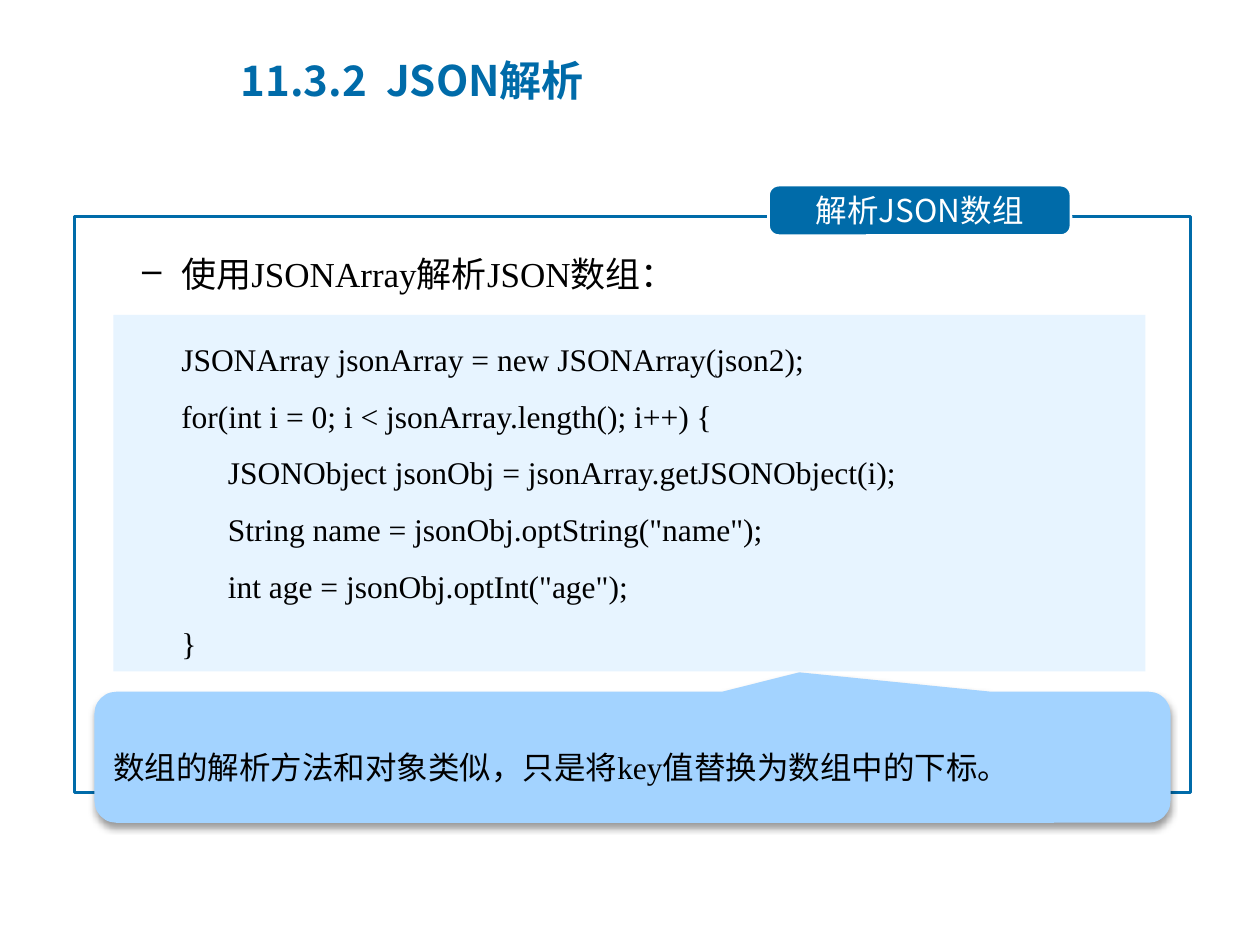
from lxml.etree import SubElement
from pptx import Presentation
from pptx.dml.color import RGBColor
from pptx.enum.shapes import MSO_SHAPE
from pptx.enum.text import MSO_ANCHOR, PP_ALIGN
from pptx.oxml.ns import qn
from pptx.util import Inches, Pt

BLUE = RGBColor(0x00, 0x6B, 0xA9)
CODE_FILL = RGBColor(0xE7, 0xF4, 0xFF)
NOTE_FILL = RGBColor(0xA3, 0xD3, 0xFF)
WHITE = RGBColor(0xFF, 0xFF, 0xFF)
BLACK = RGBColor(0x00, 0x00, 0x00)

HEADING_FONT = "Noto Sans CJK SC"
CHINESE_FONT = "Calibri"
LATIN_FONT = "Times New Roman"


class SlideBuilder:
    def __init__(self, slide):
        self.slide = slide

    def style(self, paragraph, size, color, font=None, bold=None,
              align=PP_ALIGN.LEFT, spacing=None):
        paragraph.alignment = align
        paragraph.line_spacing = spacing
        paragraph.font.size = Pt(size)
        paragraph.font.color.rgb = color
        paragraph.font.bold = bold
        if font:
            paragraph.font.name = font

    def indent(self, paragraph, left, first=0):
        properties = paragraph._p.get_or_add_pPr()
        properties.set("marL", str(Inches(left)))
        properties.set("indent", str(Inches(first)))
        return properties

    def mixed_text(self, paragraph, parts, size):
        """Fill a paragraph with (text, font) runs."""
        for text, font in parts:
            run = paragraph.add_run()
            run.text = text
            run.font.name = font
        self.style(paragraph, size, BLACK, spacing=1.5)

    def title(self, text, left, top, width, height):
        title = self.slide.shapes.title
        title.left, title.top = Inches(left), Inches(top)
        title.width, title.height = Inches(width), Inches(height)
        title.text_frame.text = text
        title.text_frame.vertical_anchor = MSO_ANCHOR.MIDDLE
        self.style(title.text_frame.paragraphs[0], 24, BLUE, HEADING_FONT, True)

    def box(self, kind, left, top, width, height, fill=None, line=None):
        box = self.slide.shapes.add_shape(
            kind, Inches(left), Inches(top), Inches(width), Inches(height))
        box.shadow.inherit = False
        if fill is None:
            box.fill.background()
        else:
            box.fill.solid()
            box.fill.fore_color.rgb = fill
        if line is None:
            box.line.fill.background()
        else:
            box.line.color.rgb = line
            box.line.width = Pt(1.5)
        return box

    def label(self, text, left, top, width, height):
        label = self.box(MSO_SHAPE.ROUNDED_RECTANGLE, left, top, width, height,
                         BLUE, WHITE)
        label.adjustments[0] = 0.2
        label.text_frame.text = text
        label.text_frame.vertical_anchor = MSO_ANCHOR.MIDDLE
        self.style(label.text_frame.paragraphs[0], 18, WHITE, HEADING_FONT,
                   align=PP_ALIGN.CENTER)

    def bullet(self, parts, left, top, width, height):
        body = self.slide.shapes.add_textbox(
            Inches(left), Inches(top), Inches(width), Inches(height))
        body.text_frame.word_wrap = True
        paragraph = body.text_frame.paragraphs[0]
        paragraph.level = 1
        self.mixed_text(paragraph, parts, 20)
        paragraph.space_before = Pt(4)
        properties = self.indent(paragraph, 0.81, -0.31)
        dash = properties.makeelement(qn("a:buChar"), {"char": "–"})
        properties.find(qn("a:defRPr")).addprevious(dash)

    def code(self, lines, left, top, width, height):
        """Show (nesting depth, text) lines on a tinted panel."""
        panel = self.box(MSO_SHAPE.RECTANGLE, left, top, width, height, CODE_FILL)
        frame = panel.text_frame
        frame.vertical_anchor = MSO_ANCHOR.TOP
        frame.text = "\n".join(text for _, text in lines)
        for paragraph, (depth, _) in zip(frame.paragraphs, lines):
            self.style(paragraph, 18, BLACK, LATIN_FONT, spacing=1.5)
            self.indent(paragraph, 0.44 + 0.37 * depth)

    def callout(self, parts, left, top, width, height):
        note = self.box(MSO_SHAPE.ROUNDED_RECTANGULAR_CALLOUT,
                        left, top, width, height, NOTE_FILL)
        for index, value in enumerate((0.155, -0.648, 0.167)):
            note.adjustments[index] = value
        note.text_frame.vertical_anchor = MSO_ANCHOR.MIDDLE
        self.mixed_text(note.text_frame.paragraphs[0], parts, 18)
        # Soft shadow straight below
        effects = note._element.spPr.find(qn("a:effectLst"))
        shadow = SubElement(effects, qn("a:outerShdw"), blurRad=str(Pt(4)),
                            dist=str(Pt(3)), dir="5400000", rotWithShape="0")
        color = SubElement(shadow, qn("a:srgbClr"), val=str(BLACK))
        SubElement(color, qn("a:alpha"), val="40000")


def main():
    presentation = Presentation()
    presentation.slide_width, presentation.slide_height = Inches(10), Inches(7.5)
    layout = presentation.slide_layouts[5]
    builder = SlideBuilder(presentation.slides.add_slide(layout))

    # Frame with its label
    builder.box(MSO_SHAPE.RECTANGLE, 0.59, 1.72, 8.86, 4.57, line=BLUE)
    builder.label("解析JSON数组", 6.1, 1.47, 2.4, 0.4)

    # Lead-in and code sample
    builder.bullet([("使用", CHINESE_FONT), ("JSONArray解析JSON", LATIN_FONT),
                    ("数组：", CHINESE_FONT)], 0.53, 1.79, 8.81, 2.2)
    builder.code([
        (0, "JSONArray jsonArray = new JSONArray(json2);"),
        (0, "for(int i = 0; i < jsonArray.length(); i++) {"),
        (1, "JSONObject jsonObj = jsonArray.getJSONObject(i);"),
        (1, 'String name = jsonObj.optString("name");'),
        (1, 'int age = jsonObj.optInt("age");'),
        (0, "}"),
    ], 0.9, 2.5, 8.19, 2.83)

    # Remark pointing at the code
    builder.callout([("数组的解析方法和对象类似，只是将", CHINESE_FONT),
                     ("key", LATIN_FONT),
                     ("值替换为数组中的下标。", CHINESE_FONT)],
                    0.75, 5.49, 8.54, 1.04)

    builder.title("11.3.2  JSON解析", 1.81, 0.21, 5.63, 0.84)
    presentation.save("out.pptx")


if __name__ == "__main__":
    main()
